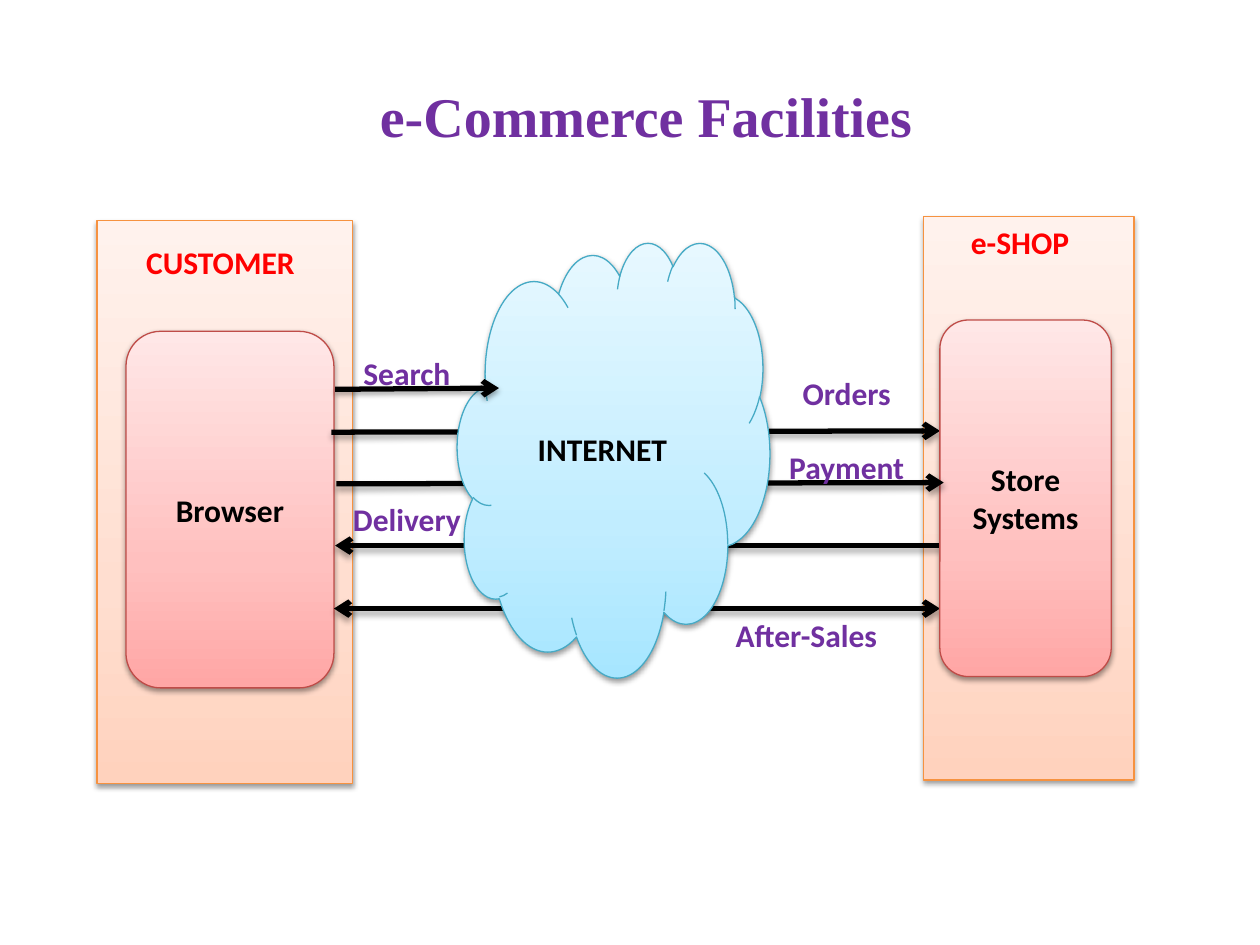
from lxml import etree
from pptx import Presentation
from pptx.dml.color import RGBColor
from pptx.enum.shapes import MSO_CONNECTOR, MSO_SHAPE
from pptx.enum.text import MSO_ANCHOR, PP_ALIGN
from pptx.oxml.ns import qn
from pptx.util import Inches, Pt

RECT = MSO_SHAPE.RECTANGLE
ROUND = MSO_SHAPE.ROUNDED_RECTANGLE
CLOUD = MSO_SHAPE.CLOUD
LINE = MSO_CONNECTOR.STRAIGHT
CENTER = PP_ALIGN.CENTER
TOP, MIDDLE = MSO_ANCHOR.TOP, MSO_ANCHOR.MIDDLE

COLORS = {
    "black": "000000",
    "red": "FF0000",
    "purple": "7030A0",
}
# Gradient colours from bottom to top, then the outline
THEMES = {
    "orange": ("FFD2BD", "FFDED0", "FFF2ED", "F69240"),
    "pink": ("FFA6A5", "FFC0BF", "FFE7E7", "BF4C48"),
    "blue": ("A7E6FF", "C1EDFF", "E7F8FF", "46AAC5"),
}
STOPS = (0, 35, 100)


def add_node(parent, tag, **attrs):
    node = etree.SubElement(parent, qn(tag))
    for key, value in attrs.items():
        node.set(key, str(value))
    return node


def add_shadow(props, dist, alpha):
    effects = props.find(qn("a:effectLst"))
    if effects is None:
        effects = add_node(props, "a:effectLst")
    outer = add_node(effects, "a:outerShdw", blurRad=Pt(3.1), dist=Pt(dist),
                     dir=90 * 60000, rotWithShape=0)
    color = add_node(outer, "a:srgbClr", val=COLORS["black"])
    add_node(color, "a:alpha", val=alpha * 1000)


def write(shape, text, color, size=18, font="Calibri", anchor=MIDDLE):
    frame = shape.text_frame
    frame.word_wrap = True
    frame.vertical_anchor = anchor
    para = frame.paragraphs[0]
    para.text = text
    para.alignment = CENTER
    para.font.size = Pt(size)
    para.font.name = font
    para.font.bold = True
    para.font.color.rgb = RGBColor.from_string(COLORS[color])


def add_box(slide, kind, box, theme, text=None):
    shape = slide.shapes.add_shape(kind, *map(Inches, box))
    *fills, edge = THEMES[theme]
    shape.fill.gradient()
    shape.fill.gradient_angle = 90
    stops = shape.fill._fill._gradFill.find(qn("a:gsLst"))
    for old in list(stops):
        stops.remove(old)
    for pos, color in zip(STOPS, fills):
        stop = add_node(stops, "a:gs", pos=pos * 1000)
        add_node(stop, "a:srgbClr", val=color)
    shape.line.color.rgb = RGBColor.from_string(edge)
    shape.line.width = Pt(0.75)
    shape.shadow.inherit = False
    add_shadow(shape._element.spPr, 1.6, 38)
    if text:
        write(shape, text, "black")


def add_label(slide, text, box, color, **style):
    label = slide.shapes.add_textbox(*map(Inches, box))
    write(label, text, color, **style)


def add_arrow(slide, start, end, both=False):
    arrow = slide.shapes.add_connector(LINE, *map(Inches, start + end))
    arrow.line.color.rgb = RGBColor.from_string(COLORS["black"])
    arrow.line.width = Pt(3)
    props = arrow._element.spPr
    line = props.find(qn("a:ln"))
    if both:
        add_node(line, "a:headEnd", type="arrow")
    add_node(line, "a:tailEnd", type="arrow")
    add_shadow(props, 1.8, 35)


def main():
    prs = Presentation()
    prs.slide_width, prs.slide_height = Inches(10), Inches(7.5)
    slide = prs.slides.add_slide(prs.slide_layouts[6])

    # Title
    add_label(slide, "e-Commerce Facilities", (-0.33, 0.58, 10.92, 0.67),
              "purple", size=32, font="Times New Roman", anchor=MIDDLE)

    # Customer and shop panels
    add_box(slide, RECT, (0.77, 1.75, 2.03, 4.47), "orange")
    add_box(slide, RECT, (7.33, 1.72, 1.67, 4.47), "orange")
    add_box(slide, ROUND, (1, 2.63, 1.65, 2.83), "pink", "Browser")

    # Flows that pass behind the cloud
    add_arrow(slide, (2.65, 4.83), (7.46, 4.83), both=True)
    add_arrow(slide, (7.46, 4.33), (2.66, 4.33))
    add_arrow(slide, (2.63, 3.43), (7.46, 3.42))
    add_box(slide, ROUND, (7.46, 2.54, 1.36, 2.83), "pink", "Store Systems")
    add_arrow(slide, (2.67, 3.84), (7.49, 3.83))

    # Cloud and the search that ends in it
    add_box(slide, CLOUD, (3.63, 1.92, 2.48, 3.45), "blue", "INTERNET")
    add_arrow(slide, (2.66, 3.09), (3.96, 3.08))

    # Panel headings and flow names
    labels = [
        ("CUSTOMER", 0.75, 1.88, 2, "red"),
        ("e-SHOP", 7.44, 1.72, 1.31, "red"),
        ("Orders", 5.99, 2.92, 1.46, "purple"),
        ("Search", 2.5, 2.76, 1.46, "purple"),
        ("Payment", 5.99, 3.51, 1.46, "purple"),
        ("Delivery", 2.5, 3.92, 1.46, "purple"),
        ("After-Sales", 5.67, 4.84, 1.46, "purple"),
    ]
    for text, left, top, width, color in labels:
        add_label(slide, text, (left, top, width, 0.4), color, anchor=TOP)

    prs.save("out.pptx")


if __name__ == "__main__":
    main()
